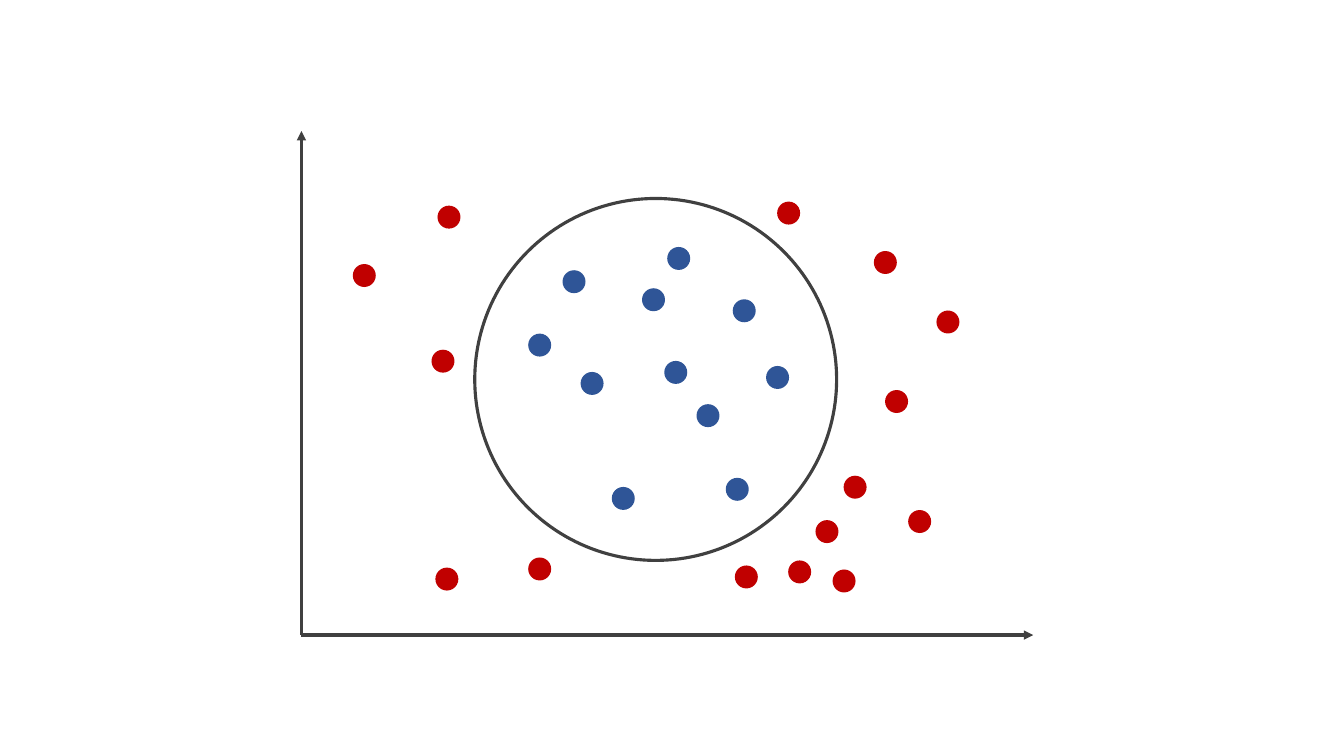
import pptx
import pptx.dml.color
import pptx.enum.shapes
import pptx.oxml
import pptx.oxml.ns
import pptx.util

Pt = pptx.util.Pt
SHAPES = pptx.enum.shapes.MSO_SHAPE
INK = "404040"
DOT_SIZE = 16.4

# Left and top of each dot, by class colour
DOTS = {
    "2F5597": [
        (414.7, 265.7), (497.5, 288.7), (523.4, 213.8), (474.5, 257.8),
        (437, 347.8), (458.6, 205.9), (401.8, 193), (547.2, 261.4),
        (476.6, 176.4), (377.3, 238.3), (518.4, 341.3),
    ],
    "C00000": [
        (563, 400.3), (632.2, 278.6), (377.3, 398.2), (602.6, 339.8),
        (524.9, 403.9), (624.2, 179.3), (555.1, 144), (312.5, 146.9),
        (308.2, 249.8), (594.7, 406.8), (648.7, 364.3), (311, 405.4),
        (582.5, 371.5), (252, 188.6), (668.9, 221.8),
    ],
}


def rgb(color):
    return pptx.dml.color.RGBColor.from_string(color)


def draw_outline(shape):
    shape.line.color.rgb = rgb(INK)
    shape.line.width = Pt(2.25)


deck = pptx.Presentation()
deck.slide_width, deck.slide_height = Pt(960), Pt(540)
page = deck.slides.add_slide(deck.slide_layouts[6])
plot = page.shapes.add_group_shape().shapes

# Axes
origin = (215.3, 453.6)
for axis_end in [(origin[0], 93.6), (738, origin[1])]:
    axis = plot.add_connector(
        pptx.enum.shapes.MSO_CONNECTOR.STRAIGHT,
        *[Pt(value) for value in origin + axis_end])
    draw_outline(axis)
    arrowhead = pptx.oxml.parse_xml(
        f'<a:tailEnd {pptx.oxml.ns.nsdecls("a")} type="triangle"/>')
    axis.line._get_or_add_ln().append(arrowhead)
    no_effects = pptx.oxml.parse_xml(
        f'<a:effectLst {pptx.oxml.ns.nsdecls("a")}/>')
    axis._element.spPr.append(no_effects)

# Decision boundary
boundary = plot.add_shape(
    SHAPES.OVAL, Pt(339.1), Pt(141.8), Pt(258.5), Pt(258.5))
boundary.shadow.inherit = False
boundary.fill.background()
draw_outline(boundary)

# Data points
for color, places in DOTS.items():
    for left, top in places:
        dot = plot.add_shape(
            SHAPES.FLOWCHART_CONNECTOR,
            Pt(left), Pt(top), Pt(DOT_SIZE), Pt(DOT_SIZE))
        dot.shadow.inherit = False
        dot.fill.solid()
        dot.fill.fore_color.rgb = rgb(color)
        dot.line.fill.background()

deck.save("out.pptx")
